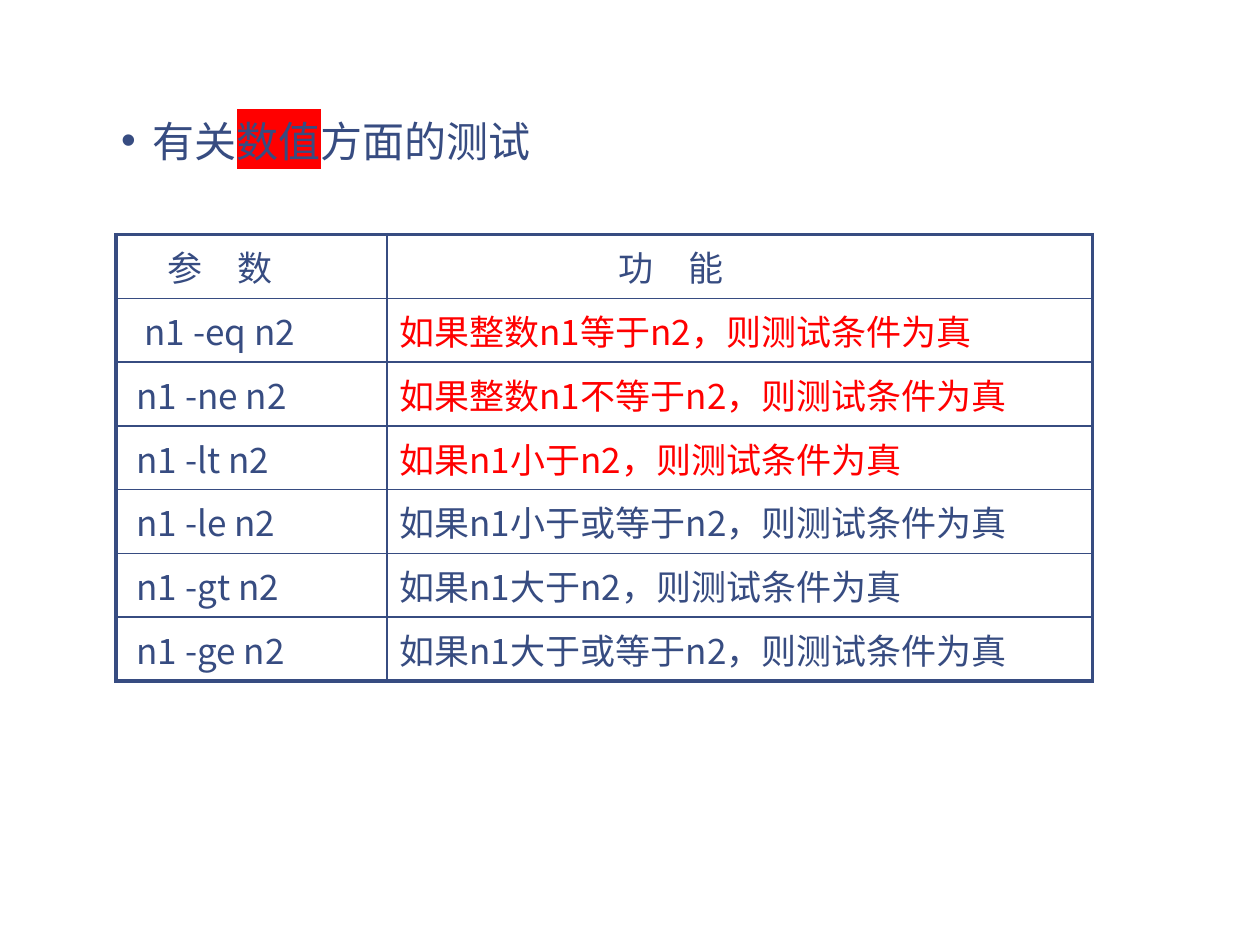
from dataclasses import dataclass

from lxml import etree
from pptx import Presentation, util as u
from pptx.dml.color import RGBColor
from pptx.enum import text
from pptx.oxml import ns


@dataclass(frozen=True)
class Theme:
    font: str = "Noto Sans CJK SC"
    ink: str = "374C81"
    accent: str = "FF0000"
    heading_size: int = 24
    table_size: int = 20
    outer_line: float = 2.25
    inner_line: float = 1


@dataclass(frozen=True)
class Entry:
    """One table row; the indents are in centimetres."""
    parameter: str
    meaning: str
    meaning_color: str
    parameter_indent: float = 0.16
    meaning_indent: float = 0


THEME = Theme()
HEADING = (("有关", False), ("数值", True), ("方面的测试", False))
ENTRIES = (
    Entry("参　数", "功　能", THEME.ink, 0.79, 4.42),
    Entry("n1 -eq n2", "如果整数n1等于n2，则测试条件为真", THEME.accent, 0.32),
    Entry("n1 -ne n2", "如果整数n1不等于n2，则测试条件为真", THEME.accent),
    Entry("n1 -lt n2", "如果n1小于n2，则测试条件为真", THEME.accent),
    Entry("n1 -le n2", "如果n1小于或等于n2，则测试条件为真", THEME.ink),
    Entry("n1 -gt n2", "如果n1大于n2，则测试条件为真", THEME.ink),
    Entry("n1 -ge n2", "如果n1大于或等于n2，则测试条件为真", THEME.ink),
)
COLUMN_WIDTHS = (5.46, 14.22)
ROW_HEIGHT = 1.28


def add_element(parent, tag: str, **attributes: str):
    return etree.SubElement(parent, ns.qn(tag), attributes)


def format_span(span, size: float, color: str, highlight: str = "") -> None:
    span.font.size = u.Pt(size)
    span.font.color.rgb = RGBColor.from_string(color)
    properties = span.font._element
    if highlight:
        add_element(add_element(properties, "a:highlight"), "a:srgbClr", val=highlight)
    for tag in ("a:latin", "a:ea"):
        add_element(properties, tag, typeface=THEME.font)


def set_indent(para, left: float, first: float = 0) -> None:
    properties = para._p.get_or_add_pPr()
    properties.set("marL", str(u.Cm(left)))
    properties.set("indent", str(u.Cm(first)))


def fill_heading(body) -> None:
    body.left, body.top = u.Cm(2.11), u.Cm(2.34)
    body.width, body.height = u.Cm(21.16), u.Cm(15.01)
    frame = body.text_frame
    frame.auto_size = text.MSO_AUTO_SIZE.NONE
    frame.vertical_anchor = text.MSO_ANCHOR.TOP
    frame.margin_left = frame.margin_right = u.Cm(0.33)
    frame.margin_top = frame.margin_bottom = u.Cm(0.18)
    para = frame.paragraphs[0]
    set_indent(para, 0.64, -0.64)
    para.line_spacing = 0.8
    para.space_before = u.Pt(0)
    add_element(para._p.get_or_add_pPr(), "a:buChar", char="•")
    for wording, marked in HEADING:
        span = para.add_run()
        span.text = wording
        format_span(span, THEME.heading_size, THEME.ink, THEME.accent if marked else "")


def set_borders(cell, outer_sides: dict[str, bool]) -> None:
    """Draw all four sides, heavier where the side lies on the table's edge."""
    properties = cell._tc.get_or_add_tcPr()
    for position, (side, outer) in enumerate(outer_sides.items()):
        width = THEME.outer_line if outer else THEME.inner_line
        line = add_element(properties, f"a:ln{side}", w=str(u.Pt(width)))
        add_element(add_element(line, "a:solidFill"), "a:srgbClr", val=THEME.ink)
        properties.insert(position, line)


def fill_cell(cell, wording: str, color: str, indent: float) -> None:
    cell.fill.background()
    cell.vertical_anchor = text.MSO_ANCHOR.TOP
    cell.margin_left = cell.margin_right = u.Cm(0.25)
    cell.margin_top = cell.margin_bottom = u.Cm(0.13)
    para = cell.text_frame.paragraphs[0]
    para.text = wording
    set_indent(para, indent)
    format_span(para.runs[0], THEME.table_size, color)


def add_test_table(page) -> None:
    row_count, column_count = len(ENTRIES), len(COLUMN_WIDTHS)
    table = page.shapes.add_table(
        row_count, column_count, u.Cm(2.34), u.Cm(4.73),
        u.Cm(sum(COLUMN_WIDTHS)), u.Cm(ROW_HEIGHT * row_count),
    ).table
    table.first_row = table.horz_banding = False
    for column, width in zip(table.columns, COLUMN_WIDTHS):
        column.width = u.Cm(width)
    for i, entry in enumerate(ENTRIES):
        table.rows[i].height = u.Cm(ROW_HEIGHT)
        contents = (
            (entry.parameter, THEME.ink, entry.parameter_indent),
            (entry.meaning, entry.meaning_color, entry.meaning_indent),
        )
        for j, content in enumerate(contents):
            cell = table.cell(i, j)
            fill_cell(cell, *content)
            set_borders(cell, {"L": j == 0, "R": j == column_count - 1,
                               "T": i == 0, "B": i == row_count - 1})


def main() -> None:
    deck = Presentation()
    deck.slide_width, deck.slide_height = u.Cm(25.4), u.Cm(19.05)
    page = deck.slides.add_slide(deck.slide_layouts[1])
    title = page.shapes.title._element
    title.getparent().remove(title)
    fill_heading(page.placeholders[1])
    add_test_table(page)
    deck.save("out.pptx")


if __name__ == "__main__":
    main()
